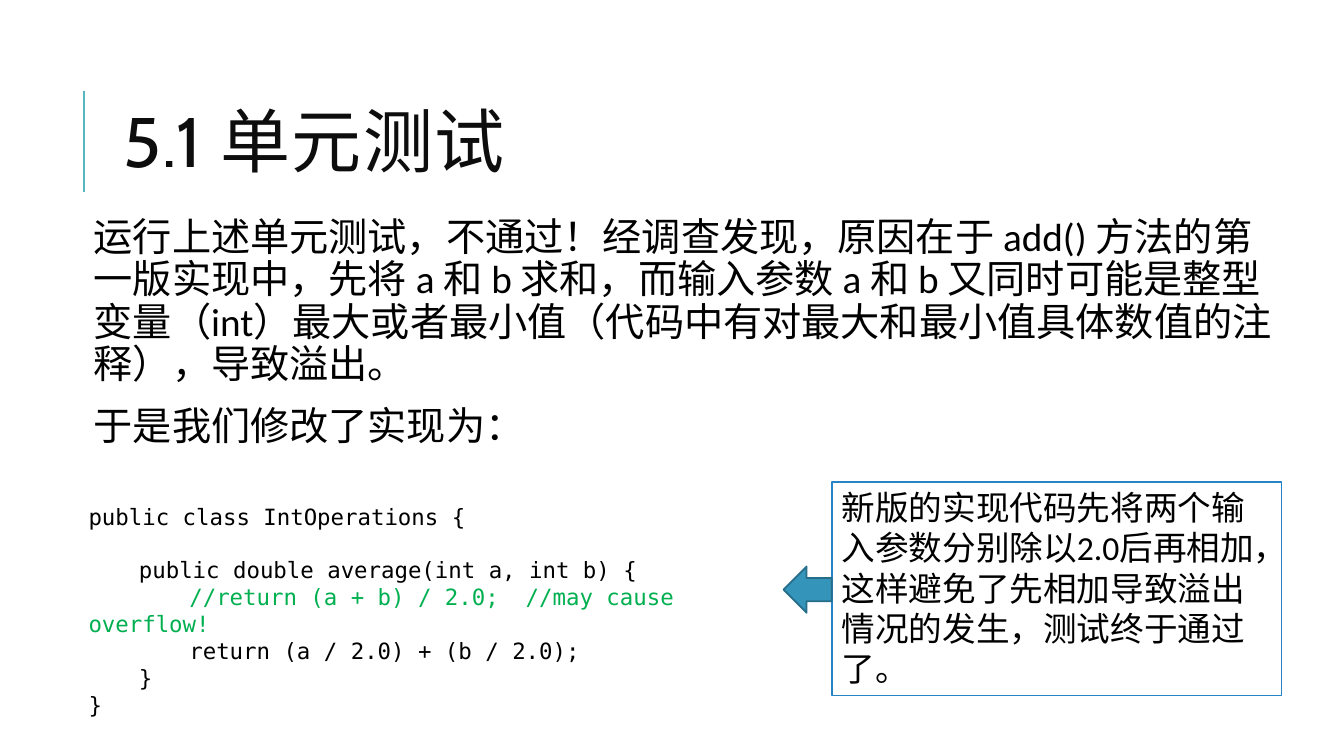
from lxml.etree import SubElement as Sub
from pptx import Presentation
from pptx.dml.color import RGBColor as RGB
from pptx.enum.shapes import MSO_CONNECTOR as Conn, MSO_SHAPE as Geo
from pptx.enum.text import MSO_ANCHOR as Anchor, MSO_AUTO_SIZE as Fit, PP_ALIGN as Align
from pptx.oxml.ns import qn
from pptx.util import Inches, Pt

CAUSE = ("运行上述单元测试，不通过！经调查发现，原因在于 add() 方法的第一版实现中，"
         "先将 a 和 b 求和，而输入参数 a 和 b 又同时可能是整型变量（int）最大或者最小值"
         "（代码中有对最大和最小值具体数值的注释），导致溢出。")
NOTE = ("新版的实现代码先将两个输入参数分别除以2.0后再相加，"
        "这样避免了先相加导致溢出情况的发生，测试终于通过了。")
CODE = [
    "public class IntOperations {",
    "\tpublic double average(int a, int b) {",
    "\t\t//return (a + b) / 2.0;  //may cause overflow!",
    "\t\treturn (a / 2.0) + (b / 2.0);",
    "\t}",
    "}",
]


def tint(code):
    return RGB.from_string(code)


def put(item, values):
    for name, value in values.items():
        setattr(item, name, value)


class Page:
    ink = "000000"
    font = "Calibri"
    mono = "DejaVu Sans Mono"

    def __init__(self, deck):
        self.slide = deck.slides.add_slide(deck.slide_layouts[5])
        self.shapes = self.slide.shapes

    def fill(self, frame, lines, size, font=None, color=None, para=None, **props):
        put(frame, {"word_wrap": True, "auto_size": Fit.NONE, **props})
        for i, line in enumerate(lines):
            p = frame.paragraphs[0] if i == 0 else frame.add_paragraph()
            put(p, {"alignment": Align.LEFT, **(para or {})})
            run = p.add_run()
            run.text = line
            put(run.font, {"size": Pt(size), "name": font or self.font})
            run.font.color.rgb = tint(color or self.ink)

    def title(self, text, x, y, w, h):
        box = self.shapes.title
        put(box, {"left": Inches(x), "top": Inches(y),
                  "width": Inches(w), "height": Inches(h)})
        self.fill(box.text_frame, [text], 50, "Cabin", "0D0D0D",
                  {"line_spacing": 0.8}, vertical_anchor=Anchor.MIDDLE)
        run = box.text_frame.paragraphs[0].runs[0]
        run._r.get_or_add_rPr().set("spc", "100")

    def text(self, lines, x, y, w, h, size, **style):
        box = self.shapes.add_textbox(Inches(x), Inches(y), Inches(w), Inches(h))
        self.fill(box.text_frame, lines, size, **style)
        return box.text_frame.paragraphs

    def shape(self, geo, x, y, w, h, fill, edge):
        item = self.shapes.add_shape(geo, Inches(x), Inches(y), Inches(w), Inches(h))
        item.shadow.inherit = False
        item.fill.solid()
        item.fill.fore_color.rgb = tint(fill)
        item.line.color.rgb = tint(edge)
        item.line.width = Pt(1.25)
        return item

    def line(self, x, top, end, color, width):
        rule = self.shapes.add_connector(
            Conn.STRAIGHT, Inches(x), Inches(top), Inches(x), Inches(end))
        rule.line.color.rgb = tint(color)
        rule.line.width = Pt(width)
        Sub(rule._element.spPr, qn("a:effectLst"))


def main():
    deck = Presentation()
    put(deck, {"slide_width": Inches(13.33), "slide_height": Inches(7.5)})
    page = Page(deck)

    page.line(0.83, 0.9, 1.9, "58B6C0", 1.5)
    page.title("5.1 单元测试", 1.12, 0.64, 10.63, 1.64)

    inset = Inches(0.05)
    page.text([CAUSE, "于是我们修改了实现为："], 0.78, 2.11, 11.92, 2.49, 28,
              para={"line_spacing": 0.9, "space_before": Pt(12), "space_after": Pt(2)},
              margin_left=Inches(0.15), margin_right=inset,
              margin_top=inset, margin_bottom=inset)

    code = page.text(CODE, 0.78, 4.94, 7.18, 1.99, 16, font=page.mono)
    code[1].space_before = Pt(19)
    code[2].runs[0].font.color.rgb = tint("00B050")

    note = page.shape(Geo.RECTANGLE, 8.25, 4.78, 4.46, 2.12, "FFFFFF", "2683C6")
    page.fill(note.text_frame, [NOTE], 24, vertical_anchor=Anchor.TOP)
    page.shape(Geo.LEFT_ARROW, 7.77, 5.62, 0.48, 0.46, "3494BA", "266D8A")

    deck.save("out.pptx")


if __name__ == "__main__":
    main()
